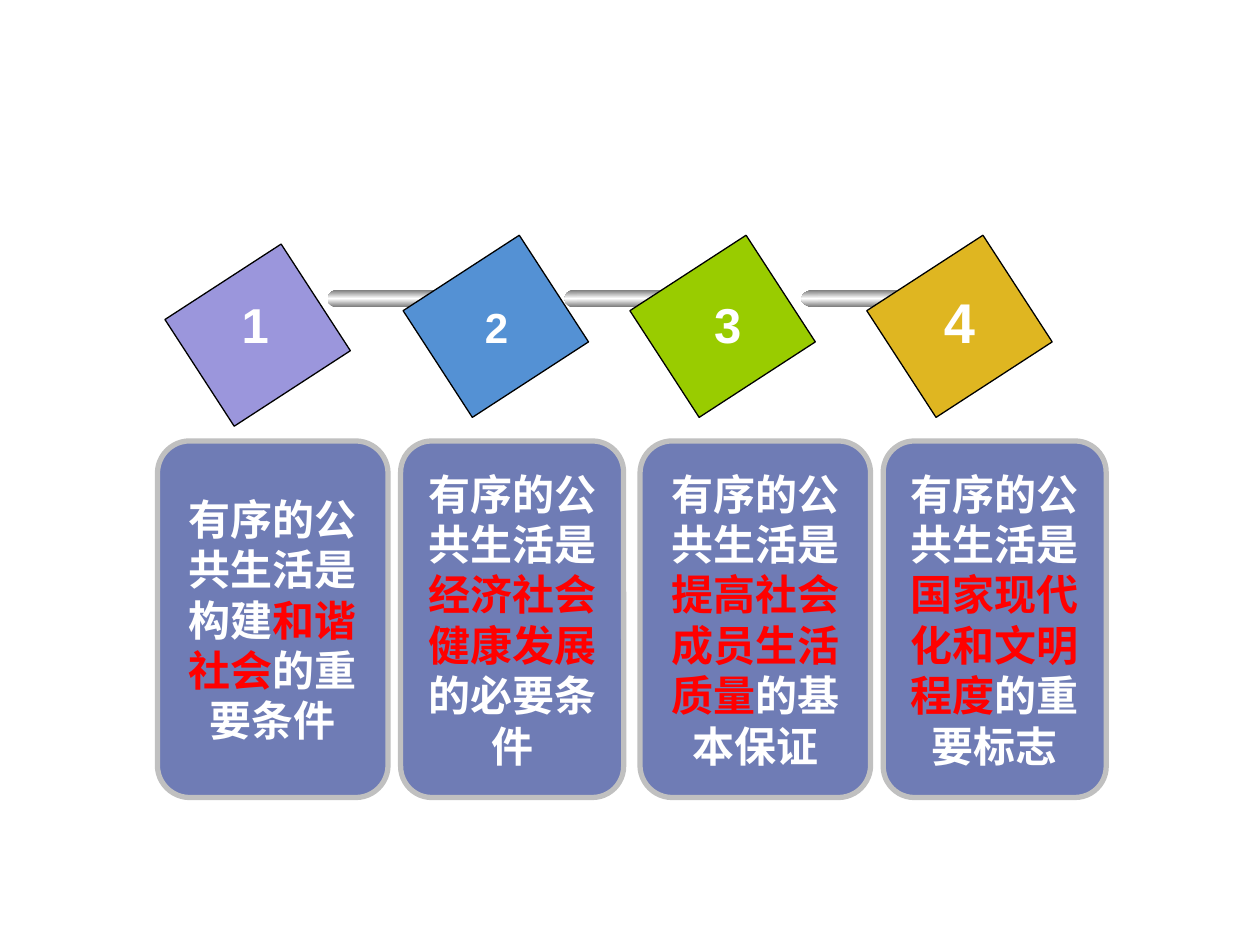
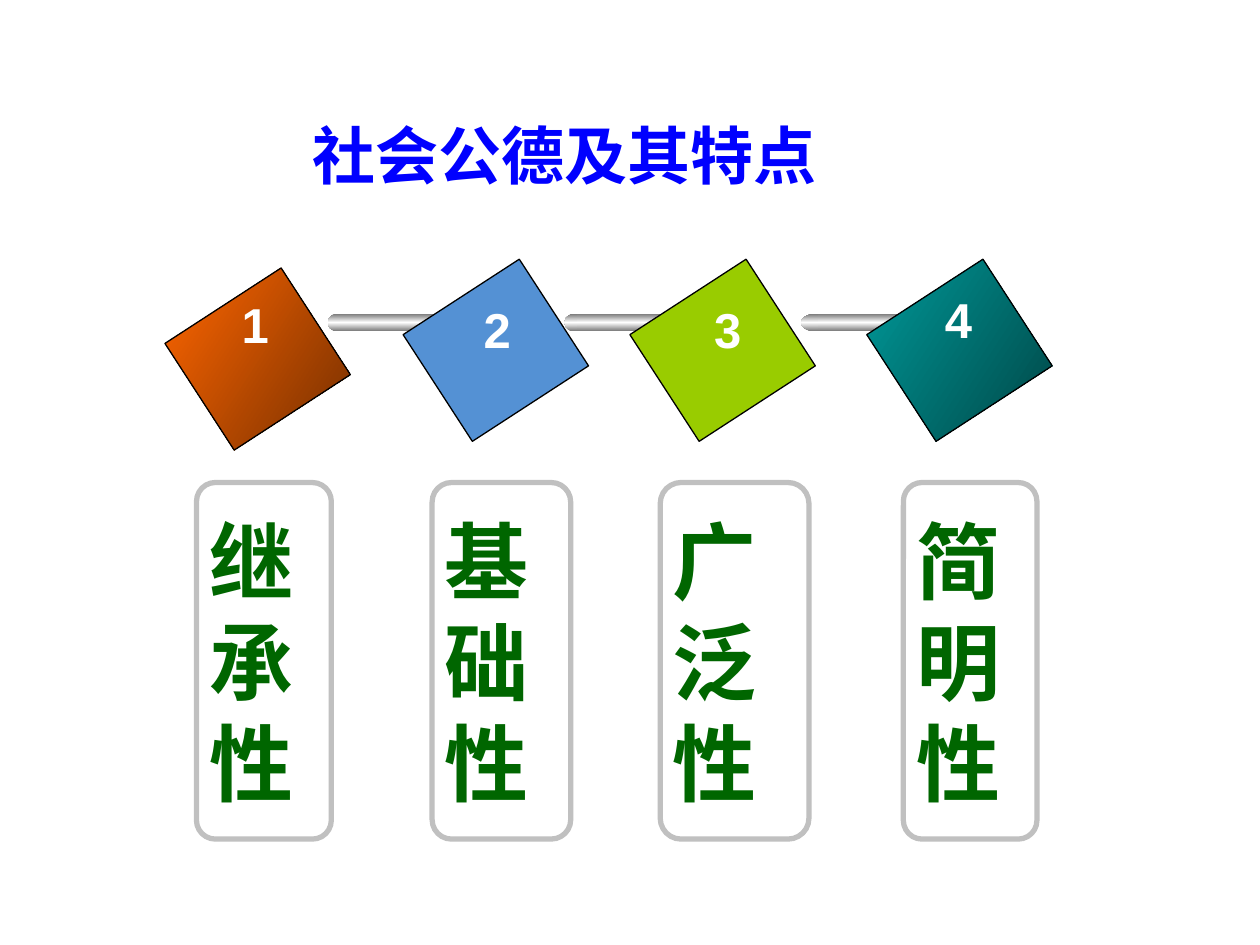
"""Build two slides of numbered diamonds with a card under each one."""
import lxml.etree
import pptx
import pptx.dml.color
import pptx.enum.shapes
import pptx.enum.text
import pptx.oxml.ns
import pptx.util

RGBColor = pptx.dml.color.RGBColor
Shape = pptx.enum.shapes.MSO_SHAPE
Align = pptx.enum.text.PP_ALIGN
Anchor = pptx.enum.text.MSO_ANCHOR
AutoSize = pptx.enum.text.MSO_AUTO_SIZE
qn = pptx.oxml.ns.qn

CELL = pptx.util.Inches(1)
COLUMNS, ROWS = 10, 7.5
FONT = "Arial"

WHITE = RGBColor(0xFF, 0xFF, 0xFF)
BLACK = RGBColor(0, 0, 0)
RED = RGBColor(0xFF, 0, 0)
TITLE_BLUE = RGBColor(0, 0, 0xFF)
TEXT_GREEN = RGBColor(0, 0x66, 0)
CARD_BLUE = RGBColor(0x6F, 0x7C, 0xB5)
CARD_EDGE = RGBColor(0xC0, 0xC0, 0xC0)
STEEL = RGBColor(0x76, 0x76, 0x76)
LILAC = RGBColor(0x9B, 0x96, 0xDC)
SKY = RGBColor(0x54, 0x91, 0xD4)
LIME = RGBColor(0x99, 0xCC, 0)
GOLD = RGBColor(0xDF, 0xB6, 0x21)
ORANGE_FADE = (RGBColor(0xFF, 0x66, 0), RGBColor(0x76, 0x2F, 0))
TEAL_FADE = (RGBColor(0, 0x99, 0x99), RGBColor(0, 0x47, 0x47))
STEEL_FADE = (STEEL, WHITE, STEEL)

DIAMOND_LEFTS = (1.54, 3.43, 5.23, 7.11)
DIAMOND_SIZE = (1.01, 1.1)
DIAMOND_TURN = 57
FIRST_DROP = 0.07
ROD_START, ROD_PITCH, ROD_DROP = 2.6, 1.88, 0.26
ROD_STRETCHES = (1, 1, 1.3)
ROD_PARTS = (
    (Shape.OVAL, 0, 0, 0.17, 0.14, None),
    (Shape.RECTANGLE, 0.1, 0, 0.85, 0.14, None),
    (Shape.OVAL, 0.86, 0, 0.15, 0.14, WHITE),
    (Shape.OVAL, 0.95, 0.05, 0.04, 0.04, None),
)
CARD_HEIGHT = 2.83
CORNER_SHARE = 0.14
CORNER_INSET = 0.29

STATEMENT_CARDS = (
    (1.25, 1.83, "有序的公共生活是构建", "和谐社会", "的重要条件"),
    (3.18, 1.77, "有序的公共生活是", "经济社会健康发展", "的必要条件"),
    (5.08, 1.83, "有序的公共生活是", "提高社会成员生活质量", "的基本保证"),
    (7.01, 1.77, "有序的公共生活是", "国家现代化和文明程度", "的重要标志"),
)
FEATURE_CARDS = (
    (1.56, 1.07, ("继承性",)),
    (3.43, 1.1, "基础性"),
    (5.24, 1.18, "广泛性"),
    (7.17, 1.06, "简明性"),
)
STATEMENT_NUMBERS = (
    (1.82, 2.29, 0.41, 0.57, 28),
    (3.75, 2.34, 0.38, 0.5, 24),
    (5.57, 2.29, 0.41, 0.57, 28),
    (7.39, 2.23, 0.45, 0.64, 32),
)
FEATURE_NUMBERS = (
    (1.82, 2.29, 0.41, 0.57, 28),
    (3.74, 2.33, 0.41, 0.57, 28),
    (5.57, 2.33, 0.41, 0.57, 28),
    (7.4, 2.25, 0.41, 0.57, 28),
)


def cells(*lengths):
    """Turn grid lengths into slide lengths."""
    return [round(length * CELL) for length in lengths]


def paint_gradient(shape, colors, angle):
    """Fill a shape with evenly spaced colours that ignore its rotation."""
    shape.fill.gradient()
    gradient = shape._element.spPr.find(qn("a:gradFill"))
    gradient.clear()
    gradient.set("rotWithShape", "0")
    stops = lxml.etree.SubElement(gradient, qn("a:gsLst"))
    for index, color in enumerate(colors):
        position = str(round(100000 * index / (len(colors) - 1)))
        stop = lxml.etree.SubElement(stops, qn("a:gs"), pos=position)
        lxml.etree.SubElement(stop, qn("a:srgbClr"), val=str(color))
    lxml.etree.SubElement(gradient, qn("a:lin"), ang=str(angle * 60000), scaled="0")


def add_figure(page, kind, place, fill, edge=None, edge_width=1, angle=90):
    """Add a preset shape with a plain, graded or empty fill."""
    shape = page.shapes.add_shape(kind, *cells(*place))
    shape.shadow.inherit = False
    if fill is None:
        shape.fill.background()
    elif isinstance(fill, RGBColor):
        shape.fill.solid()
        shape.fill.fore_color.rgb = fill
    else:
        paint_gradient(shape, fill, angle)
    if edge is None:
        shape.line.fill.background()
    else:
        shape.line.color.rgb = edge
        shape.line.width = pptx.util.Pt(edge_width)
    return shape


def add_span(para, text, size, color):
    """Add one bold run to a paragraph."""
    span = para.add_run()
    span.text = text
    span.font.name = FONT
    span.font.size = pptx.util.Pt(size)
    span.font.bold = True
    span.font.color.rgb = color


def write_paragraphs(frame, paragraphs, size, align):
    """Write paragraphs, each a list of text and colour pairs."""
    for index, spans in enumerate(paragraphs):
        para = frame.add_paragraph() if index else frame.paragraphs[0]
        para.alignment = align
        for text, color in spans:
            add_span(para, text, size, color)


def add_card(page, left, top, width, fill, paragraphs, size, align):
    """Add a rounded card whose text is centred vertically."""
    card = add_figure(page, Shape.ROUNDED_RECTANGLE,
                      (left, top, width, CARD_HEIGHT), fill, CARD_EDGE, 3)
    card.adjustments[0] = CORNER_SHARE
    frame = card.text_frame
    frame.word_wrap = True
    frame.vertical_anchor = Anchor.MIDDLE
    margin = cells(0.1 - CORNER_INSET * CORNER_SHARE * width)[0]
    frame.margin_left = frame.margin_right = margin
    write_paragraphs(frame, paragraphs, size, align)


def add_text(page, place, text, size, color, align, wrap):
    """Add a text box that grows with its single paragraph."""
    frame = page.shapes.add_textbox(*cells(*place)).text_frame
    frame.word_wrap = wrap
    frame.auto_size = AutoSize.SHAPE_TO_FIT_TEXT
    write_paragraphs(frame, [[(text, color)]], size, align)
    return frame


def add_rod(page, left, top, stretch):
    """Add a metal rod made of a bar and its rounded ends."""
    for kind, across, down, width, height, edge in ROD_PARTS:
        place = (left + across * stretch, top + down, width * stretch, height)
        add_figure(page, kind, place, STEEL_FADE, edge)


def add_diamond(page, left, top, fill):
    """Add one turned square."""
    diamond = add_figure(page, Shape.RECTANGLE, (left, top, *DIAMOND_SIZE),
                         fill, BLACK, 0.75, angle=33)
    diamond.rotation = DIAMOND_TURN


def add_chain(page, top, fills, numbers):
    """Add the diamonds, the rods that join them and their numbers."""
    for index, (left, fill) in enumerate(zip(DIAMOND_LEFTS, fills)):
        if index:
            add_rod(page, ROD_START + (index - 1) * ROD_PITCH, top + ROD_DROP,
                    ROD_STRETCHES[index - 1])
        add_diamond(page, left, top if index else top + FIRST_DROP, fill)
    for number, (*place, size) in enumerate(numbers, 1):
        add_text(page, place, str(number), size, WHITE, Align.CENTER, False)


def add_title(page, text):
    """Add the slide title."""
    frame = add_text(page, (1.93, 0.99, 6.22, 0.58), text, 36, TITLE_BLUE,
                     Align.LEFT, True)
    frame.margin_left = cells(0.55)[0]
    frame.paragraphs[0].line_spacing = 0.8


def build_statements(page):
    """Build the slide on orderly public life."""
    add_chain(page, 2.04, (LILAC, SKY, LIME, GOLD), STATEMENT_NUMBERS)
    for left, width, opening, stress, ending in STATEMENT_CARDS:
        spans = [(opening, WHITE), (stress, RED), (ending, WHITE)]
        add_card(page, left, 3.5, width, CARD_BLUE, [spans], 24, Align.CENTER)


def build_features(page):
    """Build the slide on the features of public morality."""
    add_title(page, "社会公德及其特点")
    add_chain(page, 2.23, (ORANGE_FADE, SKY, LIME, TEAL_FADE), FEATURE_NUMBERS)
    for left, width, lines in FEATURE_CARDS:
        paragraphs = [[(line, TEXT_GREEN)] for line in lines]
        add_card(page, left, 3.83, width, None, paragraphs, 48, Align.LEFT)


def main():
    """Build and save the deck."""
    deck = pptx.Presentation()
    deck.slide_width, deck.slide_height = cells(COLUMNS, ROWS)
    for build in (build_statements, build_features):
        build(deck.slides.add_slide(deck.slide_layouts[6]))
    deck.save("out.pptx")


if __name__ == "__main__":
    main()
